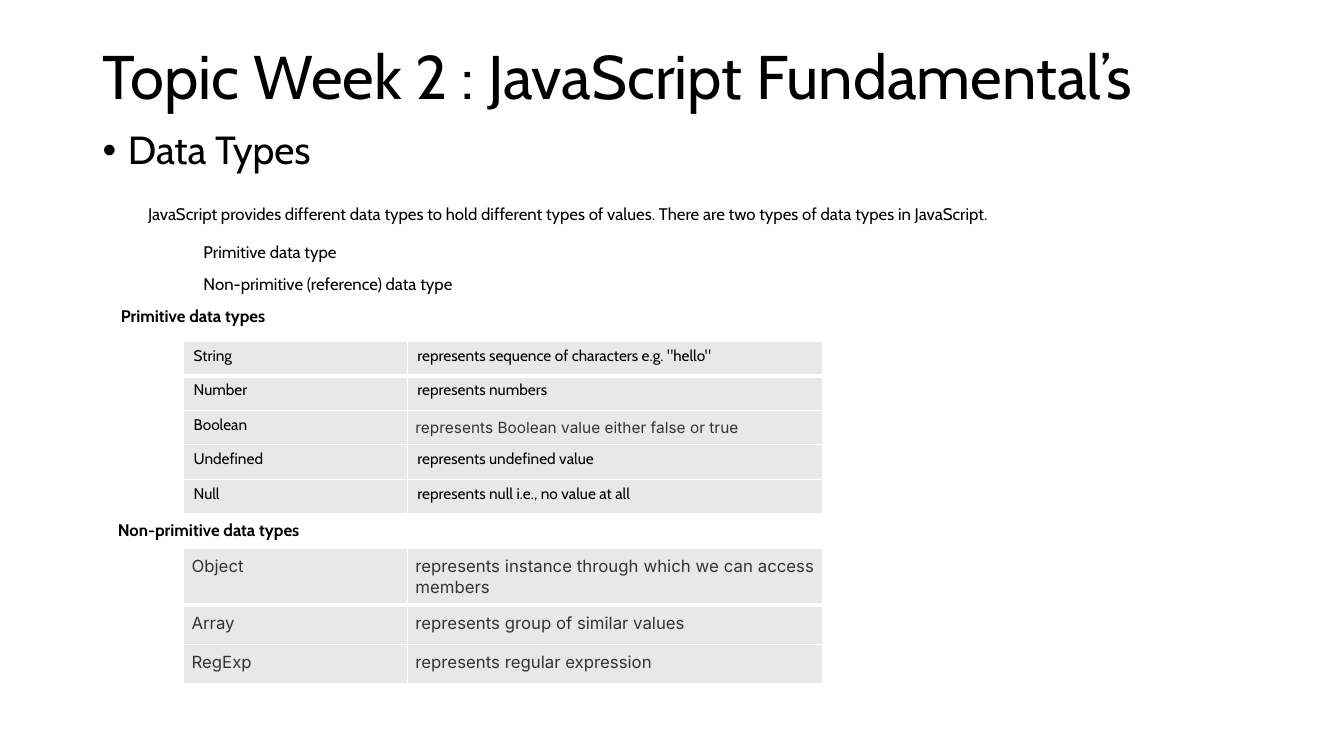
from dataclasses import dataclass

from lxml.etree import SubElement
from pptx import Presentation
from pptx.dml.color import RGBColor
from pptx.enum.text import MSO_ANCHOR, PP_ALIGN
from pptx.oxml.ns import qn
from pptx.util import Inches, Pt


@dataclass(frozen=True)
class Theme:
    ink: str = "000000"
    soft_ink: str = "333333"
    cell: str = "E8E8E8"
    rule: str = "FFFFFF"
    face: str = "Cabin"
    detail_face: str = "Inter"
    title: int = 44
    heading: int = 28
    text: int = 12
    small: int = 11
    thin: int = 1
    thick: int = 3


def grid(steps):
    """Length of a number of grid steps; the slide is 133.33 columns by 75 rows."""
    return Inches(steps / 10)


class Page:
    def __init__(self, deck, theme):
        self.theme = theme
        self.slide = deck.slides.add_slide(deck.slide_layouts[6])

    def style(self, para, size, bold=False, detail=False):
        font = para.font
        font.name = self.theme.detail_face if detail else self.theme.face
        font.size, font.bold = Pt(size), bold
        ink = self.theme.soft_ink if detail else self.theme.ink
        font.color.rgb = RGBColor.from_string(ink)

    def text_box(self, left, top, width, height, top_inset=0.5):
        box = self.slide.shapes.add_textbox(*map(grid, (left, top, width, height)))
        frame = box.text_frame
        frame.word_wrap = True
        frame.vertical_anchor = MSO_ANCHOR.TOP
        frame.margin_top = grid(top_inset)
        return frame

    def line(self, para, text, size, bold=False, before=0, indent=0, spacing=0.9):
        para.text = text
        para.line_spacing = spacing
        para.space_before = Pt(before)
        para._p.get_or_add_pPr().set("marL", str(grid(indent)))
        self.style(para, size, bold)

    def bullet(self, para, hanging):
        properties = para._p.get_or_add_pPr()
        properties.set("indent", str(-grid(hanging)))
        SubElement(properties, qn("a:buFont"), typeface="Arial")
        SubElement(properties, qn("a:buChar"), char="•")

    def borders(self, cell, bottom):
        """Draw the four cell edges; they must precede the fill in the XML."""
        properties = cell._tc.get_or_add_tcPr()
        for side in "LRTB":
            width = bottom if side == "B" else self.theme.thin
            edge = SubElement(properties, qn(f"a:ln{side}"), w=str(Pt(width)))
            paint = SubElement(edge, qn("a:solidFill"))
            SubElement(paint, qn("a:srgbClr"), val=self.theme.rule)

    def table(self, left, top, columns, heights, rows, size, is_detail):
        """Add a two-column table; is_detail(row, column) picks the detail style."""
        frame = self.slide.shapes.add_table(
            len(rows), len(columns), grid(left), grid(top),
            grid(sum(columns)), grid(sum(heights)))
        table = frame.table
        table.first_row = table.horz_banding = False
        for column, width in zip(table.columns, columns):
            column.width = grid(width)
        for r, (height, texts) in enumerate(zip(heights, rows)):
            table.rows[r].height = grid(height)
            for c, text in enumerate(texts):
                self.cell(table.cell(r, c), text, size, is_detail(r, c), r == 0)

    def cell(self, cell, text, size, detail, first):
        cell.text = text
        para = cell.text_frame.paragraphs[0]
        self.style(para, size, detail=detail)
        if detail:
            para.alignment = PP_ALIGN.JUSTIFY
            cell.margin_left = cell.margin_right = grid(0.8)
            cell.margin_top = cell.margin_bottom = grid(0.8)
        self.borders(cell, self.theme.thick if first else self.theme.thin)
        cell.fill.solid()
        cell.fill.fore_color.rgb = RGBColor.from_string(self.theme.cell)


PRIMITIVES = [
    ("String", 'represents sequence of characters e.g. "hello"'),
    ("Number", "represents numbers"),
    ("Boolean", "represents Boolean value either false or true"),
    ("Undefined", "represents undefined value"),
    ("Null", "represents null i.e., no value at all"),
]
REFERENCES = [
    ("Object", "represents instance through which we can access members"),
    ("Array", "represents group of similar values"),
    ("RegExp", "represents regular expression"),
]
# text, space before in points, indent in grid steps, bold
INTRODUCTION = [
    ("JavaScript provides different data types to hold different types of values. "
     "There are two types of data types in JavaScript.", 23.5, 4.5, False),
    ("Primitive data type", 14, 10, False),
    ("Non-primitive (reference) data type", 10, 10, False),
    ("Primitive data types", 10, 1.8, True),
]


def main():
    deck = Presentation()
    deck.slide_width, deck.slide_height = Inches(13.33), Inches(7.5)
    theme = Theme()
    page = Page(deck, theme)

    title = page.text_box(9.2, 4, 115, 14.5, top_inset=0.6)
    page.line(title.paragraphs[0], "Topic Week 2 : JavaScript Fundamental’s", theme.title)

    body = page.text_box(9.2, 12.5, 115, 60.3)
    heading = body.paragraphs[0]
    page.line(heading, "Data Types", theme.heading, before=10, indent=2.5)
    page.bullet(heading, 2.5)
    for text, before, indent, bold in INTRODUCTION:
        page.line(body.add_paragraph(), text, theme.text, bold, before, indent)

    columns = (22.2, 41.2)
    page.table(18.2, 33.9, columns, [3.4] * len(PRIMITIVES), PRIMITIVES, theme.small,
               lambda row, column: (row, column) == (2, 1))

    caption = page.text_box(10.7, 51.1, 66.7, 3)
    page.line(caption.paragraphs[0], "Non-primitive data types", theme.text, True, spacing=1)

    page.table(18.2, 54.4, columns, (5.6, 3.9, 3.9), REFERENCES, theme.text,
               lambda row, column: True)
    deck.save("out.pptx")


if __name__ == "__main__":
    main()
